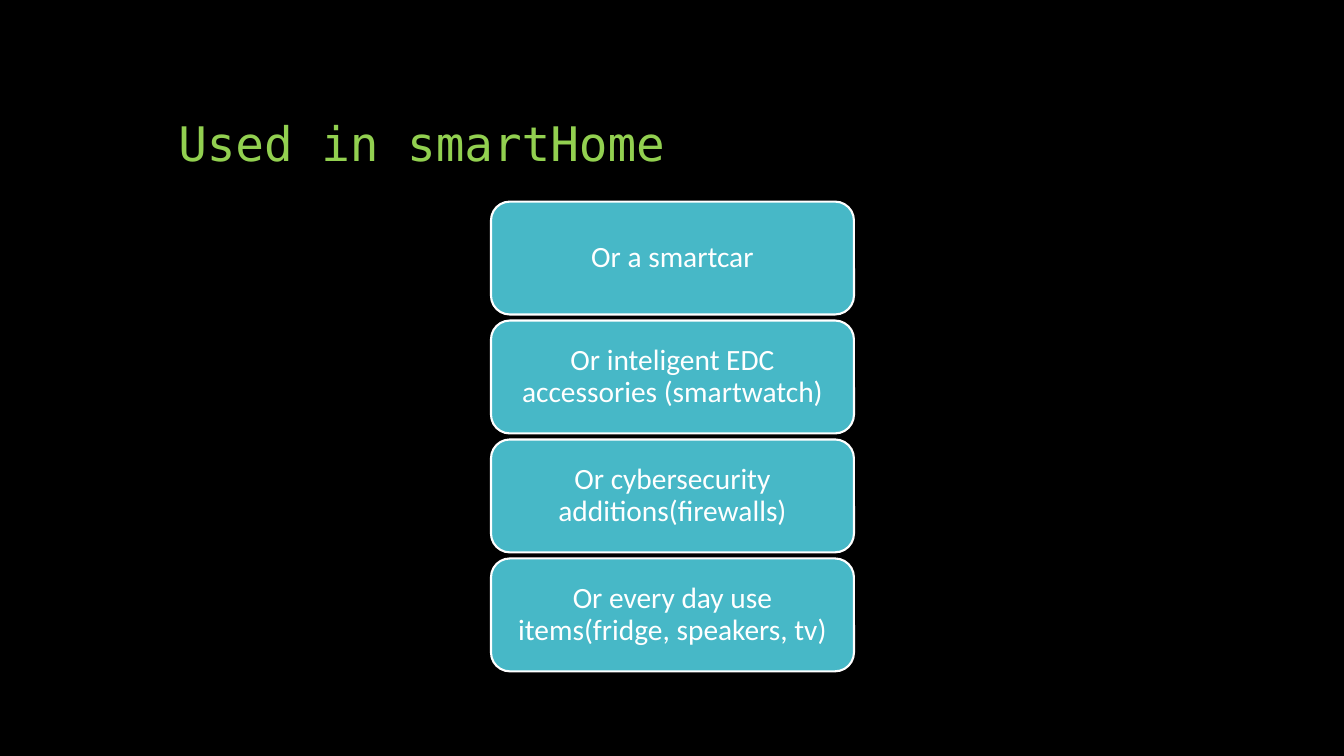
from dataclasses import dataclass

from pptx import Presentation
from pptx.dml.color import RGBColor
from pptx.enum.shapes import MSO_SHAPE
from pptx.enum.text import MSO_ANCHOR, PP_ALIGN
from pptx.slide import Slide
from pptx.text.text import TextFrame
from pptx.util import Emu, Pt

ROUNDED = MSO_SHAPE.ROUNDED_RECTANGLE
MIDDLE, BOTTOM = MSO_ANCHOR.MIDDLE, MSO_ANCHOR.BOTTOM
LEFT, CENTER = PP_ALIGN.LEFT, PP_ALIGN.CENTER

EMU_PER_PX = 9144  # 100 px to the inch
COLORS = {"background": "000000", "title": "92D050", "card": "47B8C7", "white": "FFFFFF"}

CARD_LEFT, CARD_TOP = 487, 200
CARD_WIDTH, CARD_HEIGHT, CARD_GAP = 360, 112, 6
CARD_TEXTS = [
    "Or a smartcar",
    "Or inteligent EDC accessories (smartwatch)",
    "Or cybersecurity additions(firewalls)",
    "Or every day use items(fridge, speakers, tv)",
]


@dataclass(frozen=True)
class TextStyle:
    font: str
    size: int
    color: str
    align: PP_ALIGN
    anchor: MSO_ANCHOR


@dataclass(frozen=True)
class Card:
    text: str
    top: int


TITLE_STYLE = TextStyle("DejaVu Sans Mono", 34, "title", LEFT, BOTTOM)
CARD_STYLE = TextStyle("Calibri", 21, "white", CENTER, MIDDLE)


def px(length: int) -> Emu:
    return Emu(length * EMU_PER_PX)


def color(name: str) -> RGBColor:
    return RGBColor.from_string(COLORS[name])


def write_text(frame: TextFrame, text: str, style: TextStyle) -> None:
    frame.text = text
    frame.word_wrap = True
    frame.vertical_anchor = style.anchor
    para = frame.paragraphs[0]
    para.alignment = style.align
    para.line_spacing = 0.9
    span = para.runs[0]
    span.font.name = style.font
    span.font.size = Pt(style.size)
    span.font.color.rgb = color(style.color)


def add_title(page: Slide, text: str) -> None:
    box = page.shapes.add_textbox(px(167), px(50), px(1000), px(125))
    write_text(box.text_frame, text, TITLE_STYLE)


def add_card(page: Slide, card: Card) -> None:
    box = page.shapes.add_shape(
        ROUNDED, px(CARD_LEFT), px(card.top), px(CARD_WIDTH), px(CARD_HEIGHT)
    )
    box.shadow.inherit = False
    box.fill.solid()
    box.fill.fore_color.rgb = color("card")
    box.line.color.rgb = color("white")
    box.line.width = Pt(1.5)
    frame = box.text_frame
    frame.margin_left = frame.margin_right = px(9)
    frame.margin_top = frame.margin_bottom = px(4)
    write_text(frame, card.text, CARD_STYLE)


def main() -> None:
    deck = Presentation()
    deck.slide_width, deck.slide_height = px(1333), px(750)
    page = deck.slides.add_slide(deck.slide_layouts[6])
    page.background.fill.solid()
    page.background.fill.fore_color.rgb = color("background")

    add_title(page, "Used in smartHome")
    for row, text in enumerate(CARD_TEXTS):
        add_card(page, Card(text, CARD_TOP + row * (CARD_HEIGHT + CARD_GAP)))

    deck.save("out.pptx")


if __name__ == "__main__":
    main()
